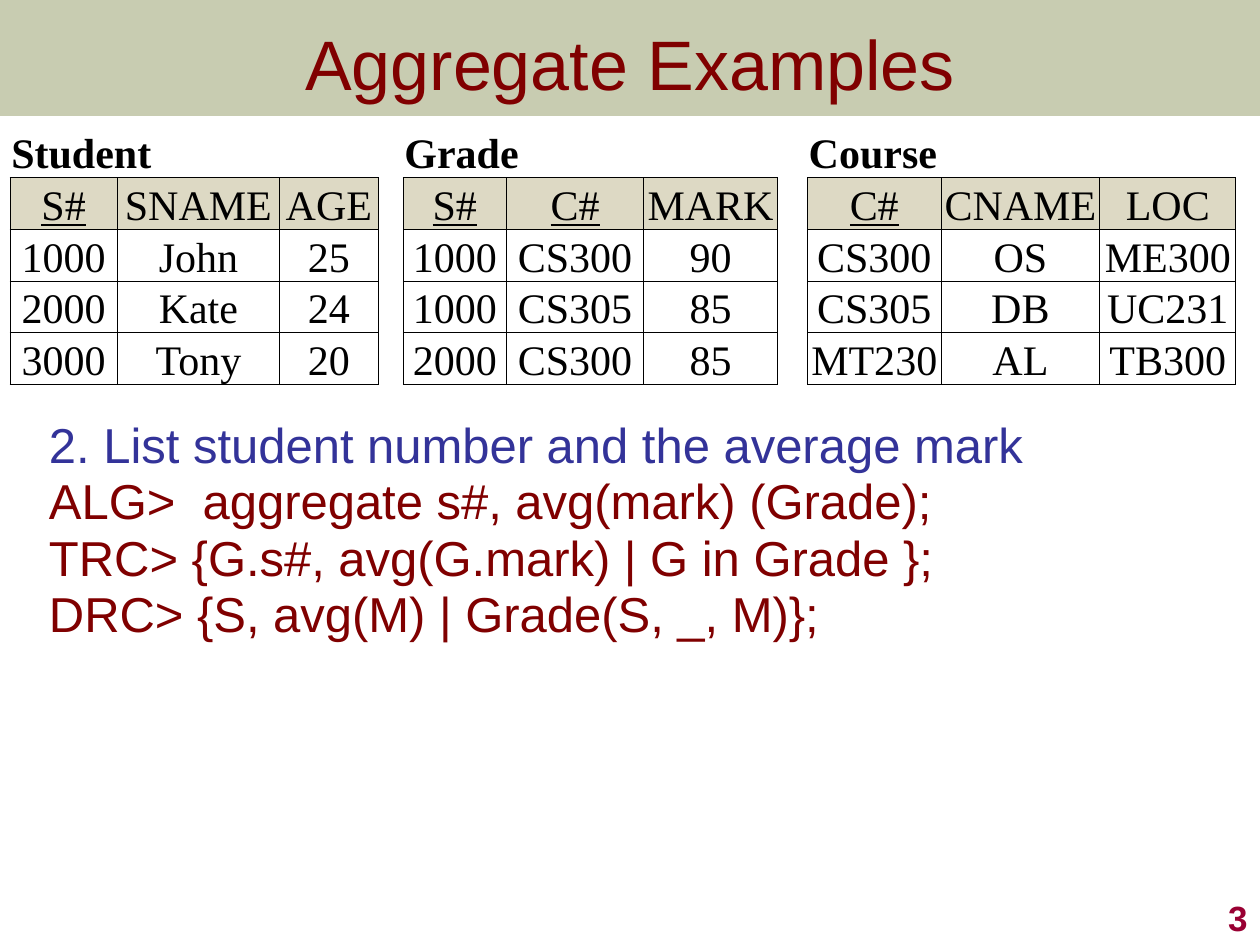
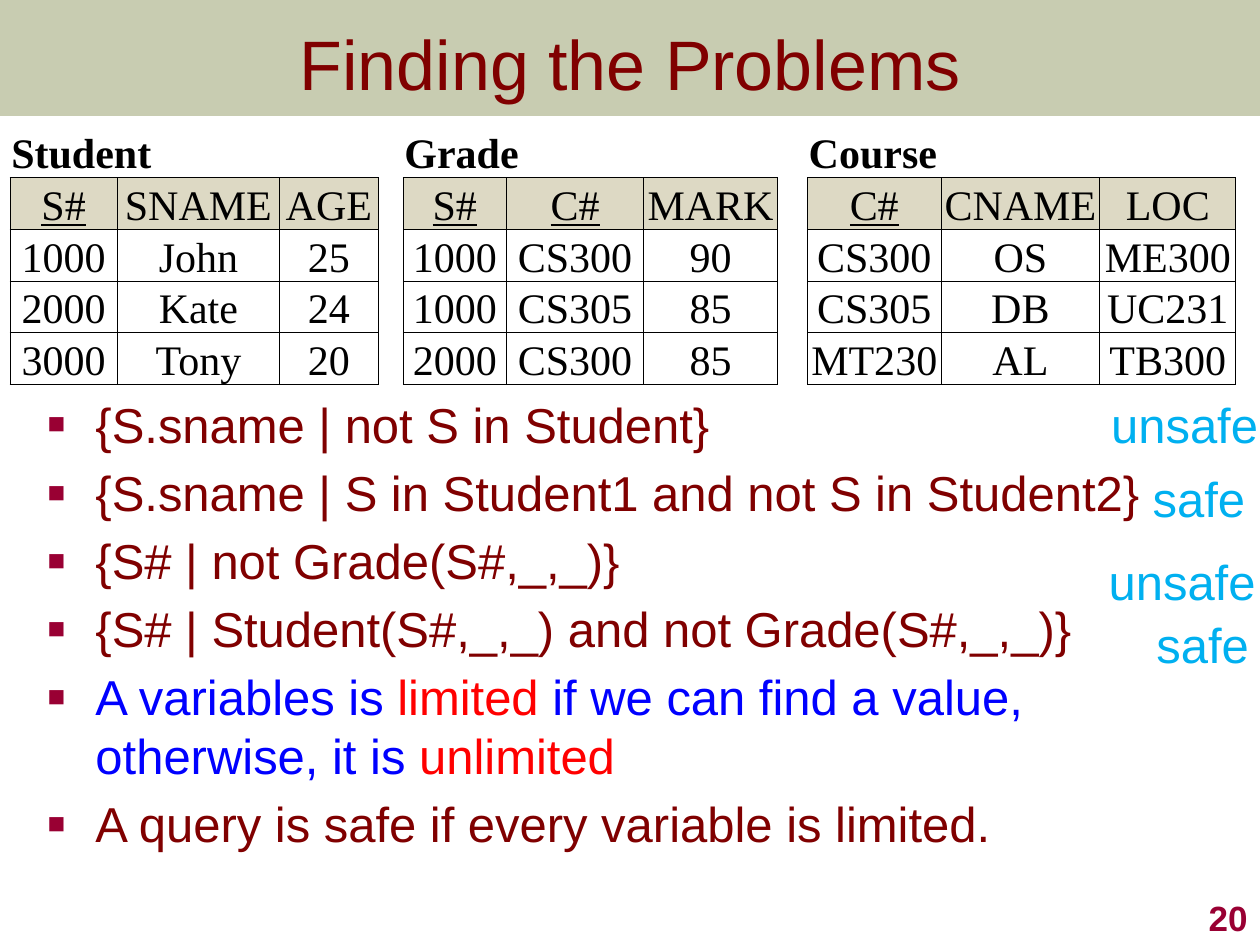
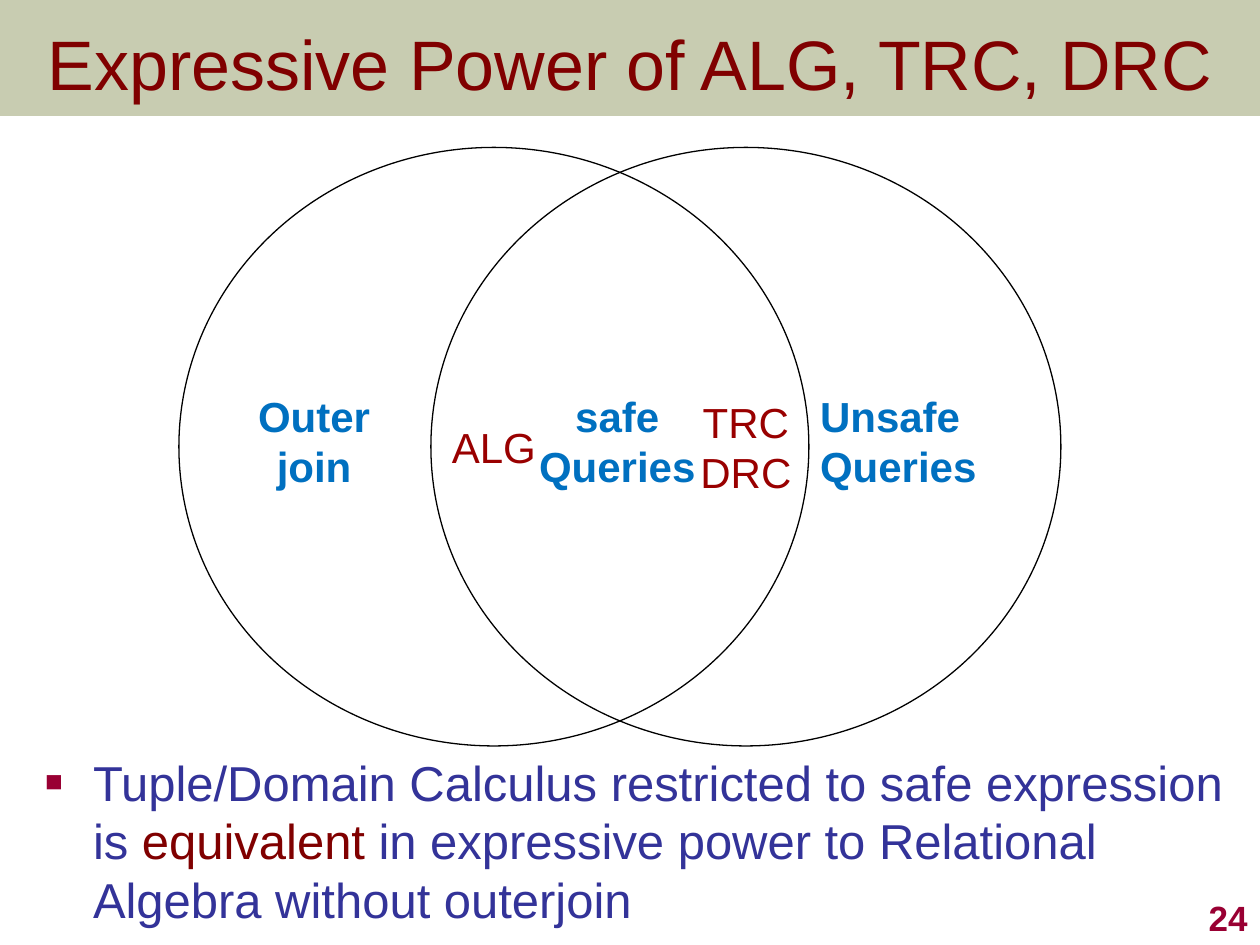
import lxml.etree
import pptx
import pptx.dml.color
import pptx.enum.shapes
import pptx.enum.text
import pptx.oxml.ns
import pptx.util

Inches = pptx.util.Inches
Pt = pptx.util.Pt
ALIGN = pptx.enum.text.PP_ALIGN
ANCHOR = pptx.enum.text.MSO_ANCHOR
SHAPE = pptx.enum.shapes.MSO_SHAPE

COLORS = {
    "band": "677228", "maroon": "800000", "indigo": "333399", "crimson": "990033",
    "blue": "0000FF", "red": "FF0000", "sky": "00B0F0", "region": "0070C0",
    "language": "990000", "header": "DDD9C4", "white": "FFFFFF", "black": "000000",
}

RELATIONS = [
    ("Student", [0.85, 1.29, 0.78], [
        ["S#", "SNAME", "AGE"], ["1000", "John", "25"],
        ["2000", "Kate", "24"], ["3000", "Tony", "20"]], {"S#"}),
    ("Grade", [0.82, 1.09, 1.06], [
        ["S#", "C#", "MARK"], ["1000", "CS300", "90"],
        ["1000", "CS305", "85"], ["2000", "CS300", "85"]], {"S#", "C#"}),
    ("Course", [1.06, 1.26, 1.08], [
        ["C#", "CNAME", "LOC"], ["CS300", "OS", "ME300"],
        ["CS305", "DB", "UC231"], ["MT230", "AL", "TB300"]], {"C#"}),
]
GAP_WIDTHS = [0.2, 0.24]


def rgb(color):
    return pptx.dml.color.RGBColor.from_string(COLORS[color])


def add_xml(parent, tag, **attributes):
    return lxml.etree.SubElement(parent, pptx.oxml.ns.qn(tag), attributes)


def set_font(font, size, color, bold=False, face="Arial"):
    font.name = face
    font.size = Pt(size)
    font.bold = bold
    font.color.rgb = rgb(color)


def write_lines(frame, lines, size, color, bold=False, aligns=(ALIGN.LEFT,)):
    for index, line in enumerate(lines):
        paragraph = frame.paragraphs[0] if index == 0 else frame.add_paragraph()
        paragraph.text = line
        paragraph.alignment = aligns[index % len(aligns)]
        set_font(paragraph.font, size, color, bold)


def add_label(slide, box, lines, size, color, bold=False, aligns=(ALIGN.LEFT,),
              anchor=ANCHOR.TOP, wrap=False):
    label = slide.shapes.add_textbox(*map(Inches, box))
    frame = label.text_frame
    frame.word_wrap = wrap
    if not wrap:
        frame.auto_size = pptx.enum.text.MSO_AUTO_SIZE.SHAPE_TO_FIT_TEXT
    frame.vertical_anchor = anchor
    write_lines(frame, lines, size, color, bold, aligns)


def start_slide(deck, title, number):
    slide = deck.slides.add_slide(deck.slide_layouts[6])
    band = slide.shapes.add_shape(SHAPE.RECTANGLE, 0, 0, Inches(10), Inches(0.92))
    band.shadow.inherit = False
    band.line.fill.background()
    band.fill.solid()
    band.fill.fore_color.rgb = rgb("band")
    tint = band.fill._xPr.find(".//" + pptx.oxml.ns.qn("a:srgbClr"))
    add_xml(tint, "a:alpha", val="36000")
    add_label(slide, (0, 0, 10, 1), [title], 40, "maroon",
              aligns=(ALIGN.CENTER,), anchor=ANCHOR.MIDDLE, wrap=True)
    add_label(slide, (7.92, 7, 2.08, 0.5), [str(number)], 20, "crimson", True,
              (ALIGN.RIGHT,), ANCHOR.BOTTOM, True)
    return slide


def add_body(slide, box, items, bulleted=True, line_spacing=1.0):
    frame = slide.shapes.add_textbox(*map(Inches, box)).text_frame
    frame.word_wrap = True
    frame.margin_right = 0
    for index, pieces in enumerate(items):
        paragraph = frame.paragraphs[0] if index == 0 else frame.add_paragraph()
        paragraph.space_before = Pt(5.3)
        paragraph.line_spacing = line_spacing
        properties = paragraph._p.get_or_add_pPr()
        properties.set("marL", str(Inches(0.38)))
        properties.set("indent", str(-Inches(0.38)))
        if bulleted:
            tint = add_xml(properties, "a:buClr")
            add_xml(tint, "a:srgbClr", val=COLORS["crimson"])
            add_xml(properties, "a:buSzPct", val="60000")
            add_xml(properties, "a:buFont", typeface="Arial")
            add_xml(properties, "a:buChar", char="■")
        set_font(paragraph.font, 28, pieces[0][1])
        for text, color in pieces:
            run = paragraph.add_run()
            run.text = text
            if len(pieces) > 1:
                run.font.color.rgb = rgb(color)


def style_cell(cell, fill, edges):
    cell.margin_left = cell.margin_right = cell.margin_top = Inches(0.01)
    cell.margin_bottom = 0
    cell.vertical_anchor = ANCHOR.BOTTOM
    properties = cell._tc.get_or_add_tcPr()
    for edge in "LRTB":
        if edge in edges:
            line = add_xml(properties, "a:ln" + edge, w=str(Pt(0.5)))
            ink = add_xml(line, "a:solidFill")
            add_xml(ink, "a:srgbClr", val=COLORS["black"])
        else:
            line = add_xml(properties, "a:ln" + edge, w="0")
            add_xml(line, "a:noFill")
    cell.fill.solid()
    cell.fill.fore_color.rgb = rgb(fill)


def write_cell(cell, text, align, bold=False, underline=False):
    cell.text = text
    paragraph = cell.text_frame.paragraphs[0]
    paragraph.alignment = align
    set_font(paragraph.font, 24, "black", bold, "Times New Roman")
    paragraph.font.underline = underline


def add_relations(slide, left, top, row_height):
    widths = []
    starts = []
    for index, relation in enumerate(RELATIONS):
        if index:
            widths.append(GAP_WIDTHS[index - 1])
        starts.append(len(widths))
        widths += relation[1]
    row_count = 1 + len(RELATIONS[0][2])
    table = slide.shapes.add_table(
        row_count, len(widths), Inches(left), Inches(top),
        Inches(sum(widths)), Inches(row_height * row_count)).table
    table.first_row = False
    table.horz_banding = False
    for column, width in zip(table.columns, widths):
        column.width = Inches(width)

    for start, (name, columns, rows, keys) in zip(starts, RELATIONS):
        for offset in range(len(columns)):
            style_cell(table.cell(0, start + offset), "white", "B")
        table.cell(0, start).merge(table.cell(0, start + len(columns) - 1))
        write_cell(table.cell(0, start), name, ALIGN.LEFT, bold=True)
        for row, values in enumerate(rows, 1):
            for offset, value in enumerate(values):
                cell = table.cell(row, start + offset)
                style_cell(cell, "header" if row == 1 else "white", "LRTB")
                write_cell(cell, value, ALIGN.CENTER,
                           underline=row == 1 and value in keys)
    for start in starts[1:]:
        for row in range(row_count):
            style_cell(table.cell(row, start - 1), "white", "LR" if row else "")


def add_circle(slide, box, languages):
    circle = slide.shapes.add_shape(SHAPE.OVAL, *map(Inches, box))
    circle.shadow.inherit = False
    circle.fill.background()
    circle.line.color.rgb = rgb("black")
    circle.line.width = Pt(0.75)
    circle.text_frame.word_wrap = False
    circle.text_frame.vertical_anchor = ANCHOR.MIDDLE
    write_lines(circle.text_frame, languages, 24, "language", aligns=(ALIGN.CENTER,))


def add_venn(slide, left, top):
    for offset, languages in [(0, ["ALG"]), (2, ["TRC", "DRC"])]:
        add_circle(slide, (left + offset, top, 5, 4.75), languages)
    regions = [
        (0.53, 1.19, ["Outer ", "join "], (ALIGN.LEFT, ALIGN.CENTER)),
        (4.99, 1.55, ["Unsafe ", "Queries "], (ALIGN.LEFT,)),
        (2.75, 1.55, ["safe ", "Queries "], (ALIGN.CENTER,)),
    ]
    for offset, width, lines, aligns in regions:
        add_label(slide, (left + offset, top + 1.88, width, 0.91), lines, 24,
                  "region", True, aligns)


def build_aggregates(deck):
    slide = start_slide(deck, "Aggregate Examples", 3)
    add_body(slide, (0.29, 3.33, 9.42, 2.92), [
        [("2. List student number and the average mark", "indigo")],
        [("ALG>  aggregate s#, avg(mark) (Grade);", "maroon")],
        [("TRC> {G.s#, avg(G.mark) | G in Grade };", "maroon")],
        [("DRC> {S, avg(M) | Grade(S, _, M)};", "maroon")],
    ], bulleted=False, line_spacing=0.8)
    add_relations(slide, 0.08, 1, 0.38)


def build_problems(deck):
    slide = start_slide(deck, "Finding the Problems", 20)
    add_body(slide, (0.28, 3.08, 9.64, 4.42), [
        [("{S.sname | not S in Student}", "maroon")],
        [("{S.sname | S in Student1 and not S in Student2}", "maroon")],
        [("{S# | not Grade(S#,_,_)}", "maroon")],
        [("{S# | Student(S#,_,_) and not Grade(S#,_,_)}", "maroon")],
        [("A variables is ", "blue"), ("limited ", "red"),
         ("if we can find a value, otherwise, it is ", "blue"), ("unlimited", "red")],
        [("A query is safe if every variable is limited.", "maroon")],
    ])
    verdicts = [("unsafe ", 8.72, 3.08, 1.49), ("unsafe ", 8.7, 4.33, 1.49),
                ("safe", 9.05, 3.67, 0.94), ("safe", 9.08, 4.83, 0.94)]
    for verdict, left, top, width in verdicts:
        add_label(slide, (left, top, width, 0.57), [verdict], 28, "sky")
    add_relations(slide, 0.08, 1, 0.41)


def build_power(deck):
    slide = start_slide(deck, "Expressive Power of ALG, TRC, DRC", 24)
    add_venn(slide, 1.42, 1.17)
    add_body(slide, (0.26, 5.92, 9.49, 1.5), [
        [("Tuple/Domain Calculus restricted to safe expression is ", "indigo"),
         ("equivalent", "maroon"),
         (" in expressive power to Relational Algebra without outerjoin", "indigo")],
    ])


deck = pptx.Presentation()
deck.slide_width = Inches(10)
deck.slide_height = Inches(7.5)
build_aggregates(deck)
build_problems(deck)
build_power(deck)
deck.save("out.pptx")
